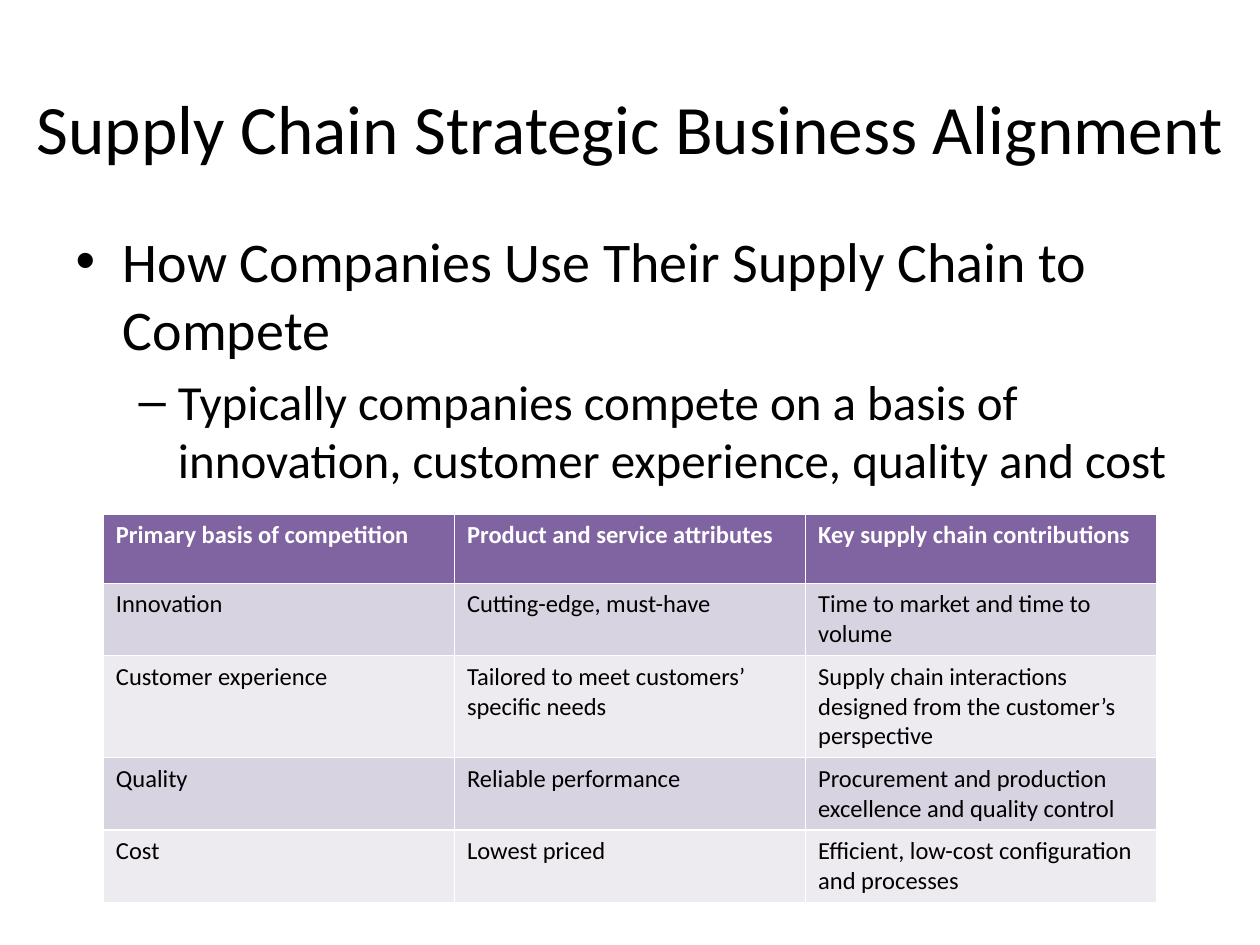
from pptx import Presentation
from pptx.dml.color import RGBColor
from pptx.enum import text
from pptx.util import Inches, Pt

COLORS = {
    "black": "000000",
    "white": "FFFFFF",
    "header": "8064A2",
    "odd": "D8D3E0",
    "even": "EDEAF0",
}


def place(shape, left, top, width, height):
    box = {"left": left, "top": top, "width": width, "height": height}
    for name, value in box.items():
        setattr(shape, name, Inches(value))


def write(paragraph, content, size, color, bold=False):
    run = paragraph.add_run()
    run.text = content
    formats = {"name": "Calibri", "size": Pt(size), "bold": bold}
    for name, value in formats.items():
        setattr(run.font, name, value)
    run.font.color.rgb = RGBColor.from_string(COLORS[color])


presentation = Presentation()
presentation.slide_width = Inches(10)
presentation.slide_height = Inches(7.5)
slide = presentation.slides.add_slide(presentation.slide_layouts[1])

title = slide.shapes.title
place(title, 0, 0.38, 10, 1.25)
title.text_frame.auto_size = text.MSO_AUTO_SIZE.NONE
write(title.text_frame.paragraphs[0], "Supply Chain Strategic Business Alignment", 39.6, "black")

body = slide.placeholders[1]
place(body, 0.5, 1.75, 9, 4.95)
body.text_frame.auto_size = text.MSO_AUTO_SIZE.NONE
write(body.text_frame.paragraphs[0], "How Companies Use Their Supply Chain to Compete", 32, "black")
detail = body.text_frame.add_paragraph()
detail.level = 1
write(
    detail,
    "Typically companies compete on a basis of innovation, customer experience, quality and cost",
    28,
    "black",
)

rows = [
    ("Primary basis of competition", "Product and service attributes", "Key supply chain contributions"),
    ("Innovation", "Cutting-edge, must-have", "Time to market and time to volume"),
    (
        "Customer experience",
        "Tailored to meet customers’ specific needs",
        "Supply chain interactions designed from the customer’s perspective",
    ),
    ("Quality", "Reliable performance", "Procurement and production excellence and quality control"),
    ("Cost", "Lowest priced", "Efficient, low-cost configuration and processes"),
]
table = slide.shapes.add_table(
    len(rows), len(rows[0]), Inches(0.82), Inches(4.08), Inches(8.36), Inches(0.55 * len(rows))
).table

for row_index, row in enumerate(rows):
    is_header = row_index == 0
    fill = "header" if is_header else "odd" if row_index % 2 else "even"
    for column_index, content in enumerate(row):
        cell = table.cell(row_index, column_index)
        cell.fill.solid()
        cell.fill.fore_color.rgb = RGBColor.from_string(COLORS[fill])
        color = "white" if is_header else "black"
        write(cell.text_frame.paragraphs[0], content, 14, color, is_header)

presentation.save("out.pptx")
